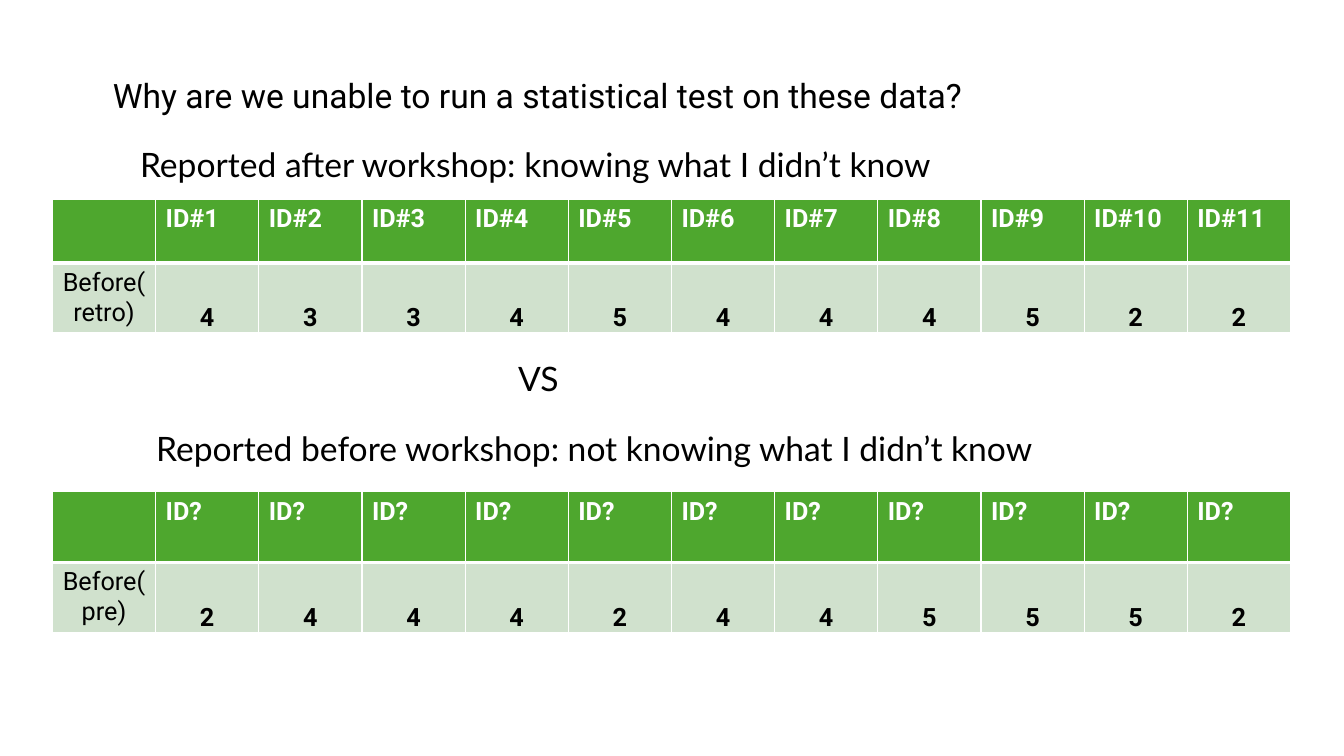
from lxml import etree
from pptx import Presentation
from pptx import util as u
from pptx.dml.color import RGBColor
from pptx.enum import text
from pptx.oxml.ns import qn

GREEN, PALE, WHITE, BLACK = "4EA72E", "D0E1CD", "FFFFFF", "000000"
AFTER_SCORES = [4, 3, 3, 4, 5, 4, 4, 4, 5, 2, 2]
BEFORE_SCORES = [2, 4, 4, 4, 2, 4, 4, 5, 5, 5, 2]


def rgb(color):
    return RGBColor.from_string(color)


def write(tf, words, size=24, font="Lato", color=BLACK, bold=False,
          align=text.PP_ALIGN.LEFT):
    p = tf.paragraphs[0]
    p.alignment = align
    r = p.add_run()
    r.text = words
    r.font.size = u.Pt(size)
    r.font.name = font
    r.font.bold = bold
    r.font.color.rgb = rgb(color)


def add_text(s, words, x, y, w, **fmt):
    tf = s.shapes.add_textbox(
        u.Inches(x), u.Inches(y), u.Inches(w), u.Inches(0.5)).text_frame
    tf.word_wrap = True
    tf.auto_size = text.MSO_AUTO_SIZE.SHAPE_TO_FIT_TEXT
    write(tf, words, **fmt)


def style_cell(cell, fill, top, bottom):
    """Fill the cell and give it white borders; top and bottom are in points."""
    tcPr = cell._tc.get_or_add_tcPr()
    for side, width in (("L", 1), ("R", 1), ("T", top), ("B", bottom)):
        ln = etree.SubElement(tcPr, qn(f"a:ln{side}"), w=str(u.Pt(width)))
        solid = etree.SubElement(ln, qn("a:solidFill"))
        etree.SubElement(solid, qn("a:srgbClr"), val=WHITE)
    cell.fill.solid()
    cell.fill.fore_color.rgb = rgb(fill)


def add_scores(s, y, ids, label, scores, heights):
    tbl = s.shapes.add_table(2, len(ids) + 1, u.Inches(0.52), u.Inches(y),
                             u.Inches(12.28), u.Inches(sum(heights))).table
    for row, height in zip(tbl.rows, heights):
        row.height = u.Inches(height)

    for col, words in enumerate([""] + ids):
        cell = tbl.cell(0, col)
        style_cell(cell, GREEN, top=1, bottom=3)
        if words:
            write(cell.text_frame, words, 18, "Roboto", WHITE, True)

    for col, value in enumerate([label] + scores):
        cell = tbl.cell(1, col)
        style_cell(cell, PALE, top=3, bottom=1)
        if col:
            cell.vertical_anchor = text.MSO_ANCHOR.BOTTOM
            cell.margin_left = cell.margin_right = cell.margin_top = u.Inches(0.01)
            cell.margin_bottom = 0
        write(cell.text_frame, str(value), 18, "Roboto", bold=col > 0,
              align=text.PP_ALIGN.CENTER)


def main():
    prs = Presentation()
    prs.slide_width, prs.slide_height = u.Inches(13.33), u.Inches(7.5)
    s = prs.slides.add_slide(prs.slide_layouts[6])
    count = len(AFTER_SCORES)

    add_scores(s, 1.98, [f"ID#{n}" for n in range(1, count + 1)],
               "Before(retro)", AFTER_SCORES, (0.63, 0.69))
    add_text(s, "Why are we unable to run a statistical test on these data?",
             1.02, 0.69, 11.19, font="Roboto")
    add_text(s, "Reported after workshop: knowing what I didn’t know",
             1.29, 1.38, 8.45)
    add_text(s, "Reported before workshop: not knowing what I didn’t know",
             1.45, 4.2, 11.58)
    add_text(s, "VS", 5.04, 3.5, 8.2)
    add_scores(s, 4.88, ["ID?"] * count, "Before(pre)", BEFORE_SCORES,
               (0.7, 0.69))
    prs.save("out.pptx")


if __name__ == "__main__":
    main()
